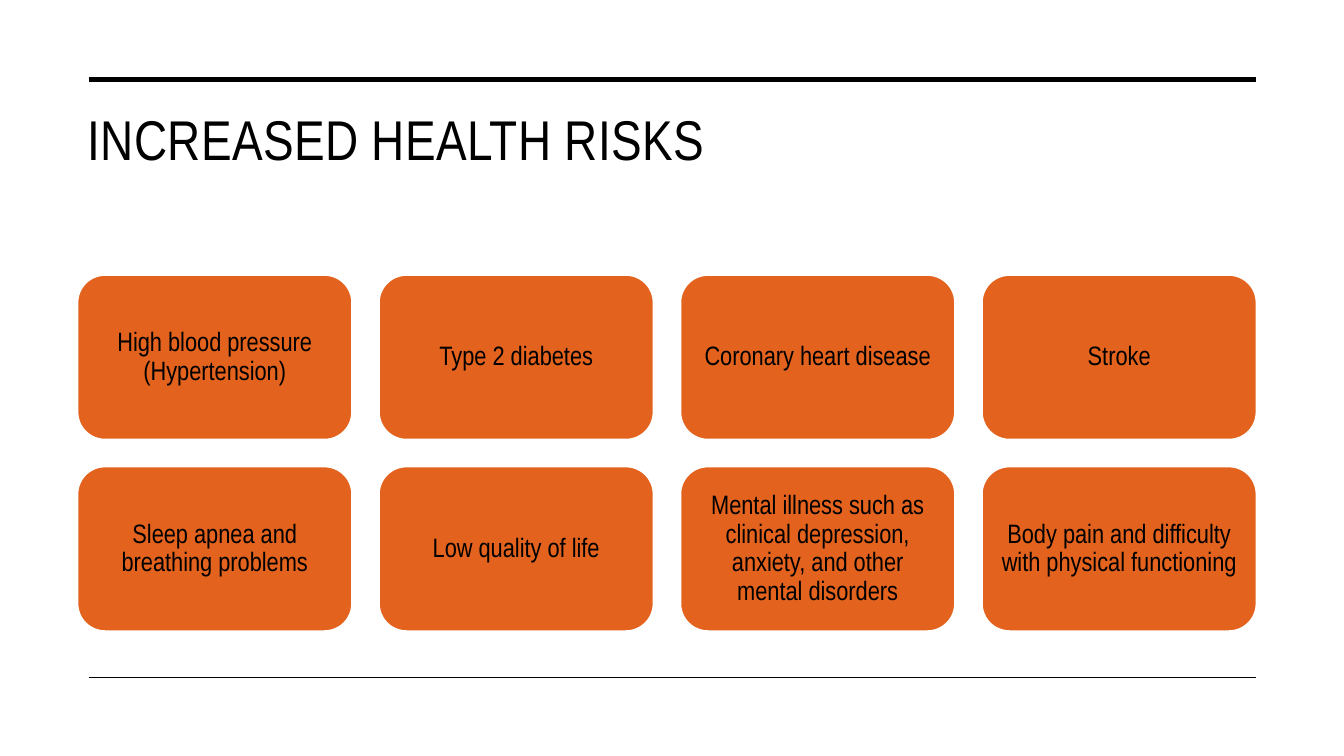
from lxml import etree
from pptx import Presentation
from pptx.dml.color import RGBColor
from pptx.enum.shapes import MSO_CONNECTOR, MSO_SHAPE
from pptx.enum.text import MSO_ANCHOR, PP_ALIGN
from pptx.oxml.ns import qn
from pptx.util import Inches, Pt

BLACK = RGBColor(0x00, 0x00, 0x00)
WHITE = RGBColor(0xFF, 0xFF, 0xFF)
ORANGE = RGBColor(0xE3, 0x63, 0x1E)
FONT = "Arial Narrow"
STRAIGHT = MSO_CONNECTOR.STRAIGHT
CARD_SHAPE = MSO_SHAPE.FLOWCHART_ALTERNATE_PROCESS
TOP, MIDDLE = MSO_ANCHOR.TOP, MSO_ANCHOR.MIDDLE
LEFT, CENTER = PP_ALIGN.LEFT, PP_ALIGN.CENTER

RISKS = [
    "High blood pressure (Hypertension)",
    "Type 2 diabetes",
    "Coronary heart disease",
    "Stroke",
    "Sleep apnea and breathing problems",
    "Low quality of life",
    "Mental illness such as clinical depression, anxiety, and other mental disorders",
    "Body pain and difficulty with physical functioning",
]
COLUMNS = 4
CARD_LEFT, CARD_TOP = 0.77, 2.73
CARD_WIDTH, CARD_HEIGHT = 2.72, 1.63
GAP = 0.27
INSET = Inches(0.08)


def add_span(para, text, size):
    span = para.add_run()
    span.text = text
    span.font.name = FONT
    span.font.size = Pt(size)
    span.font.color.rgb = BLACK
    return span


deck = Presentation()
deck.slide_width = Inches(13.33)
deck.slide_height = Inches(7.5)
page = deck.slides.add_slide(deck.slide_layouts[5])
page.background.fill.solid()
page.background.fill.fore_color.rgb = WHITE

# Title
title = page.shapes.title
title.left, title.top = Inches(0.77), Inches(0.99)
title.width, title.height = Inches(11.69), Inches(1.26)
title.text_frame.word_wrap = True
title.text_frame.vertical_anchor = TOP
para = title.text_frame.paragraphs[0]
para.alignment = LEFT
span = add_span(para, "INCREASED HEALTH RISKS", 40)
span.font._element.set("spc", "30")

# Rules above the title and below the cards
for y, weight in [(0.79, 3.5), (6.72, 1)]:
    rule = page.shapes.add_connector(
        STRAIGHT, Inches(0.88), Inches(y), Inches(12.46), Inches(y))
    rule.line.color.rgb = BLACK
    rule.line.width = Pt(weight)
    etree.SubElement(rule._element.spPr, qn("a:effectLst"))

# Grid of risk cards
for index, risk in enumerate(RISKS):
    row, column = divmod(index, COLUMNS)
    card = page.shapes.add_shape(
        CARD_SHAPE,
        Inches(CARD_LEFT + column * (CARD_WIDTH + GAP)),
        Inches(CARD_TOP + row * (CARD_HEIGHT + GAP)),
        Inches(CARD_WIDTH), Inches(CARD_HEIGHT))
    card.shadow.inherit = False
    card.fill.solid()
    card.fill.fore_color.rgb = ORANGE
    card.line.color.rgb = WHITE
    card.line.width = Pt(1)
    frame = card.text_frame
    frame.word_wrap = True
    frame.vertical_anchor = MIDDLE
    frame.margin_left = frame.margin_right = INSET
    frame.margin_top = frame.margin_bottom = INSET
    para = frame.paragraphs[0]
    para.alignment = CENTER
    para.line_spacing = 0.9
    add_span(para, risk, 19)

deck.save("out.pptx")
